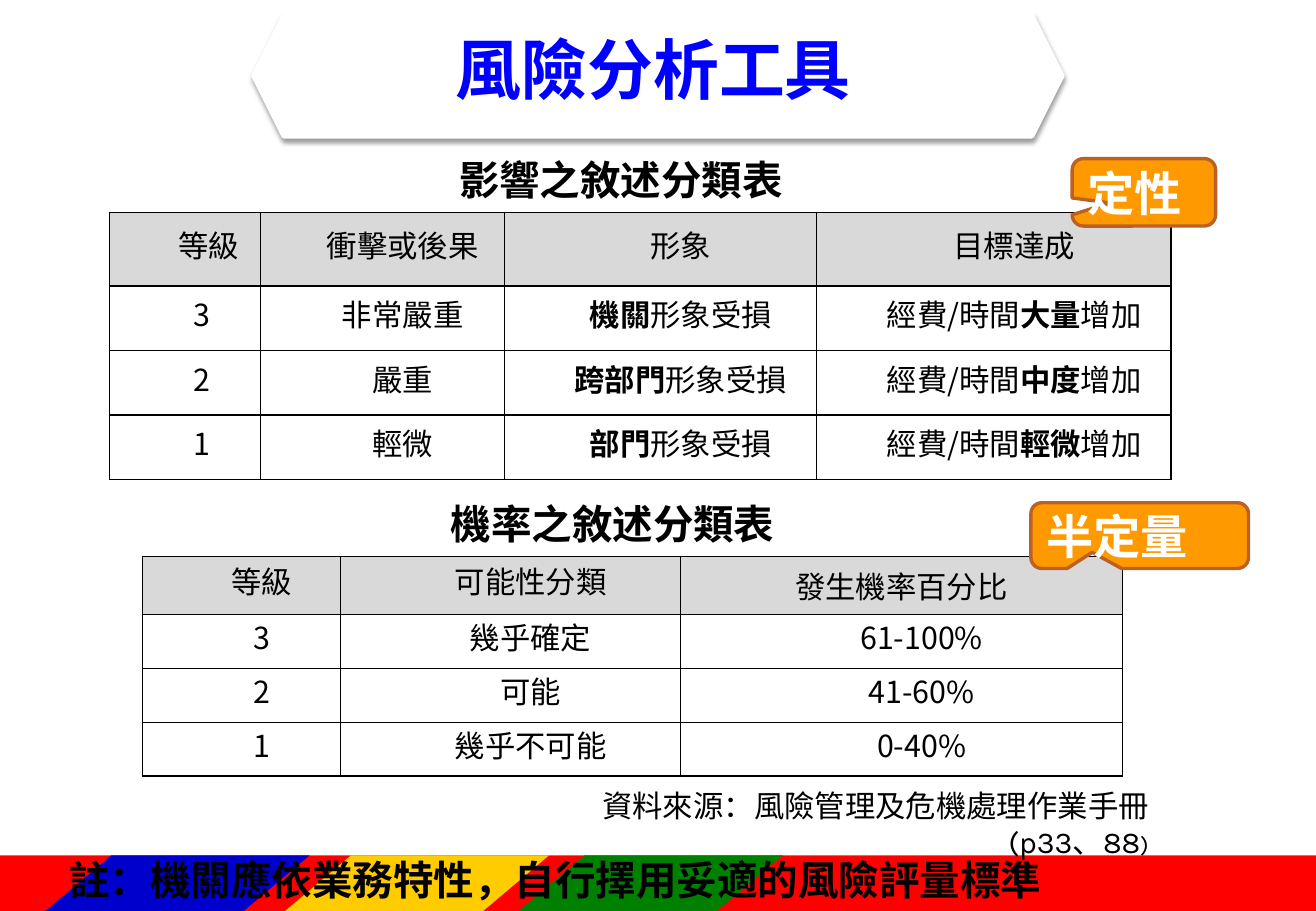
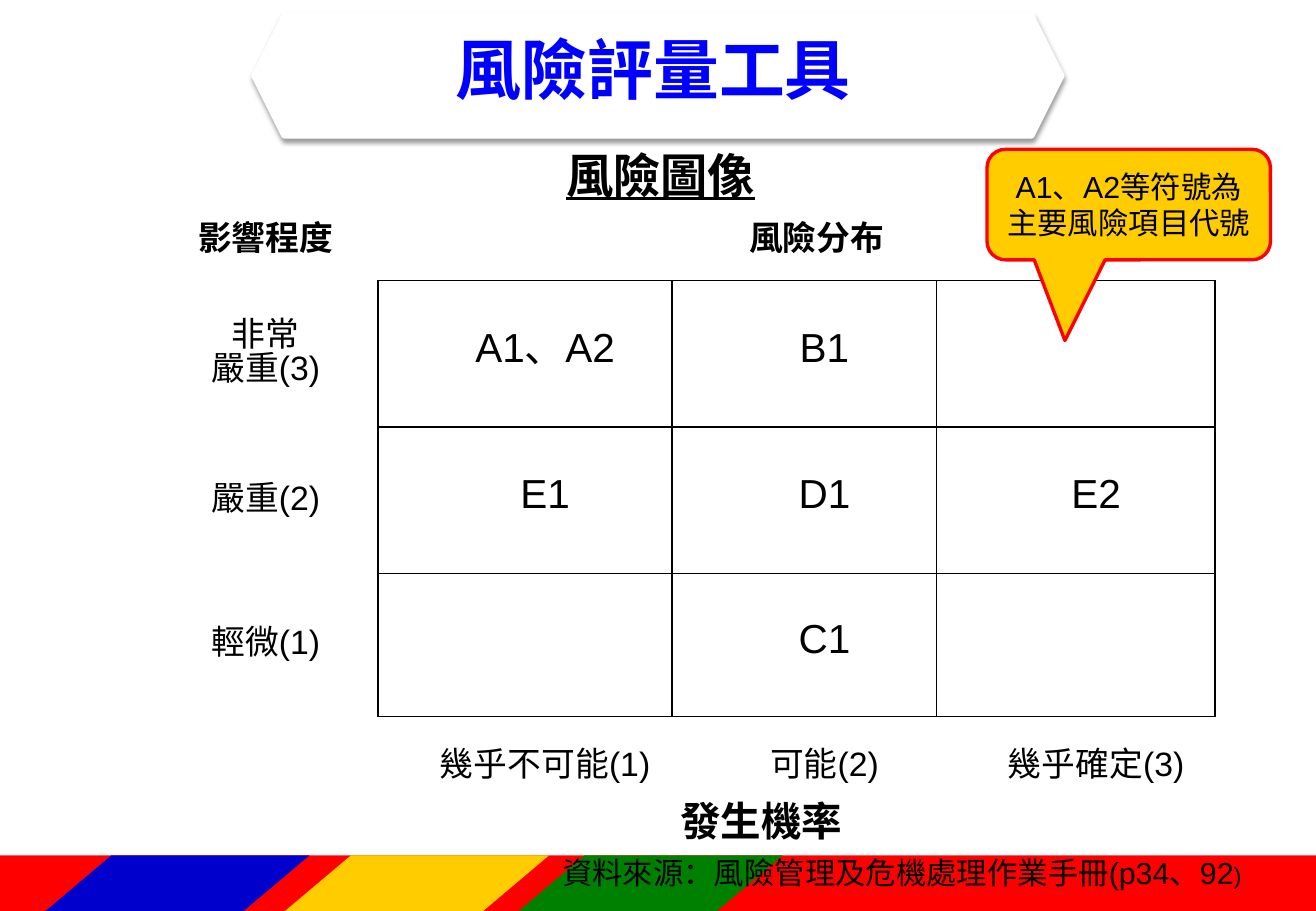
from lxml import etree
from pptx import Presentation
from pptx import util as u
from pptx.dml import color as dml
from pptx.enum import shapes, text
from pptx.oxml import ns

COLORS = {
    "red": "FF0000", "blue": "0000CC", "yellow": "FFCC00", "green": "008000",
    "title": "0000FF", "black": "000000", "white": "FFFFFF",
    "header": "D9D9D9", "orange": "FF9900", "brown": "BB6126",
}
CJK = "Noto Sans CJK SC"
NO_STYLE = "{2D5ABB26-0587-4C30-8999-92F81FD0307C}"
ALIGN = text.PP_ALIGN
MIDDLE = text.MSO_ANCHOR.MIDDLE
BOLD = {"bold": True}
rgb = {name: dml.RGBColor.from_string(value) for name, value in COLORS.items()}


def write(frame, paragraphs, align=ALIGN.LEFT, indent=0, line=None, **style):
    for number, runs in enumerate(paragraphs):
        paragraph = frame.add_paragraph() if number else frame.paragraphs[0]
        paragraph.alignment = align
        if line:
            paragraph.line_spacing = line
        if indent:
            properties = paragraph._p.get_or_add_pPr()
            properties.set("marL", str(u.Pt(indent)))
            properties.set("indent", "0")
        for item in [runs] if isinstance(runs, str) else runs:
            content, changes = (item, {}) if isinstance(item, str) else item
            look = {"color": "black", "bold": False, "underline": False, **style, **changes}
            run = paragraph.add_run()
            run.text = content
            run.font.size = u.Pt(look["size"])
            run.font.bold = look["bold"]
            run.font.underline = look["underline"]
            run.font.color.rgb = rgb[look["color"]]
            run.font.name = look["font"]
            east_asian = etree.SubElement(run.font._element, ns.qn("a:ea"))
            east_asian.set("typeface", look["font"])


def add_grid(slide, left, top, widths, heights, bordered, fills):
    graphic = slide.shapes.add_table(
        len(heights), len(widths), u.Pt(left), u.Pt(top),
        u.Pt(sum(widths)), u.Pt(sum(heights)))
    table = graphic.table
    table.first_row = table.horz_banding = False
    table._tbl.tblPr.find(ns.qn("a:tableStyleId")).text = NO_STYLE
    for column, width in zip(table.columns, widths):
        column.width = u.Pt(width)
    for row, height in zip(table.rows, heights):
        row.height = u.Pt(height)
    for r in range(len(heights)):
        for c in range(len(widths)):
            cell = table.cell(r, c)
            cell.margin_left = cell.margin_right = u.Pt(6.5)
            cell.margin_top = cell.margin_bottom = 0
            cell.vertical_anchor = MIDDLE
            neighbours = {"L": (r, c - 1), "R": (r, c + 1), "T": (r - 1, c), "B": (r + 1, c)}
            for side, neighbour in neighbours.items():
                if bordered & {(r, c), neighbour}:
                    edge = etree.SubElement(cell._tc.tcPr, ns.qn("a:ln" + side), w=str(u.Pt(1)))
                    solid = etree.SubElement(edge, ns.qn("a:solidFill"))
                    etree.SubElement(solid, ns.qn("a:srgbClr"), val=COLORS["black"])
            if (r, c) in fills:
                cell.fill.solid()
                cell.fill.fore_color.rgb = rgb[fills[r, c]]
            else:
                cell.fill.background()
    return table


presentation = Presentation()
presentation.slide_width = u.Pt(780)
presentation.slide_height = u.Pt(540)

slides = []
for title, font in [("風險分析工具", CJK), ("風險評量工具", "Arial")]:
    slide = presentation.slides.add_slide(presentation.slide_layouts[5])
    shape = slide.shapes.title
    shape.left, shape.top, shape.width, shape.height = map(u.Pt, (245.5, 16, 283.5, 54.5))
    frame = shape.text_frame
    frame.auto_size = text.MSO_AUTO_SIZE.NONE
    frame.word_wrap = True
    frame.vertical_anchor = MIDDLE
    frame.margin_left = frame.margin_right = u.Pt(11.5)
    frame.margin_top = frame.margin_bottom = u.Pt(11.5)
    write(frame, [title], align=ALIGN.CENTER, line=0.9, size=39, font=font, color="title", bold=True)
    slides.append(slide)
analysis, evaluation = slides

KINDS = shapes.MSO_SHAPE
master_tree = presentation.slide_master.shapes.element
master_shapes = [
    (KINDS.RECTANGLE, -1.5, 507, 781.5, 33, "red"),
    (KINDS.PARALLELOGRAM, 169, 507, 156.5, 33, "yellow"),
    (KINDS.PARALLELOGRAM, 307.5, 507, 156.5, 33, "green"),
    (KINDS.PARALLELOGRAM, 27, 507, 156.5, 33, "blue"),
    (KINDS.HEXAGON, 150.5, 9.25, 479, 71.5, "white"),
]
for number, (kind, left, top, width, height, fill) in enumerate(master_shapes):
    shape = analysis.shapes.add_shape(kind, *map(u.Pt, (left, top, width, height)))
    shape.shadow.inherit = False
    shape.fill.solid()
    shape.fill.fore_color.rgb = rgb[fill]
    shape.line.fill.background()
    if kind == KINDS.PARALLELOGRAM:
        shape.adjustments[0] = 1.184
    if kind == KINDS.HEXAGON:
        shape.line.color.rgb = rgb["white"]
        shape.line.width = u.Pt(3)
        effects = shape.element.spPr.find(ns.qn("a:effectLst"))
        shadow = etree.SubElement(
            effects, ns.qn("a:outerShdw"), blurRad=str(u.Pt(3.1)),
            dist=str(u.Pt(1.6)), dir="5400000", rotWithShape="0")
        tint = etree.SubElement(shadow, ns.qn("a:srgbClr"), val=COLORS["black"])
        etree.SubElement(tint, ns.qn("a:alpha"), val="38000")
    shape.element.nvSpPr.cNvPr.set("id", str(100 + number))
    master_tree.append(shape.element)

impact_rows = [[" 等級", "衝擊或後果", "形象", "目標達成"]]
for level, impact, scope, amount in [
    ("3 ", "非常嚴重", "機關", "大量"),
    ("2 ", "嚴重", "跨部門", "中度"),
    ("1 ", "輕微", "部門", "輕微"),
]:
    impact_rows.append([
        level, impact, [(scope, BOLD), "形象受損"], ["經費/時間", (amount, BOLD), "增加"]])
chance_rows = [
    ["等級", "可能性分類", "發生機率百分比"],
    ["3", "幾乎確定", "61-100%"],
    ["2", "可能", "41-60%"],
    ["1", "幾乎不可能", "0-40%"],
]
cell_format = {"align": ALIGN.CENTER, "indent": 24, "line": u.Pt(20)}
for rows, left, top, widths, heights in [
    (impact_rows, 65, 126, [89.3, 144.7, 185, 210.2], [43.5] + [38.3] * 3),
    (chance_rows, 84.3, 329.8, [117.4, 201.6, 262], [34.6] + [31.9] * 3),
]:
    cells = {(r, c) for r in range(len(heights)) for c in range(len(widths))}
    fills = {(0, c): "header" for c in range(len(widths))}
    table = add_grid(analysis, left, top, widths, heights, cells, fills)
    for r, row in enumerate(rows):
        for c, content in enumerate(row):
            plain = content == "發生機率百分比"
            layout = {"align": ALIGN.CENTER} if plain else cell_format
            write(table.cell(r, c).text_frame, [content], size=18, font=CJK, **layout)

matrix_cells = {(r, c) for r in range(1, 4) for c in range(1, 4)}
matrix_fills = {(r, c): "white" for r, c in matrix_cells if c < 3}
matrix = add_grid(
    evaluation, 67, 122.4, [157, 174.2, 157, 165], [44, 86.8, 86.6, 84.8, 86.4],
    matrix_cells, matrix_fills)
matrix.cell(0, 1).merge(matrix.cell(0, 3))
matrix_rows = [
    [["影響程度"], ["風險分布"]],
    [["非常", "嚴重(3)"], ["A1、A2"], ["B1"]],
    [["嚴重(2)"], ["E1"], ["D1"], ["E2"]],
    [["輕微(1)"], [], ["C1"]],
    [[], ["幾乎不可能(1)"], ["可能(2)"], ["幾乎確定(3)"]],
]
for r, row in enumerate(matrix_rows):
    for c, paragraphs in enumerate(row):
        cell = matrix.cell(r, c)
        if r == 4:
            cell.vertical_anchor = text.MSO_ANCHOR.TOP
            cell.margin_top = u.Pt(20)
        write(
            cell.text_frame, paragraphs, bold=r == 0, font="Arial" if r else CJK,
            size=24 if (r, c) in matrix_cells else 20, **cell_format)

heading = {"size": 24, "font": CJK, "bold": True}
analysis_source = [
    "資料來源：風險管理及危機處理作業手冊", ("(p33", {"font": "Karla"}), "、",
    ("88", {"font": "Karla"}), (")", {"font": "Karla", "size": 14})]
evaluation_source = ["資料來源：風險管理及危機處理作業手冊(p34、92", (")", {"size": 14})]
for slide, content, left, top, width, height, wrap, style in [
    (analysis, "影響之敘述分類表", 265, 88.5, 208, 36, False, heading),
    (analysis, "機率之敘述分類表", 260, 292.5, 208, 36, False, heading),
    (analysis, "註：機關應依業務特性，自行擇用妥適的風險評量標準", 34, 503.5, 712, 36.5, True, heading),
    (analysis, analysis_source, 298, 463, 390, 51, True,
     {"align": ALIGN.RIGHT, "size": 18, "font": CJK}),
    (evaluation, "發生機率", 396, 468.5, 137.5, 27.5, True, {**heading, "font": "Arial"}),
    (evaluation, "風險圖像", 328.5, 83, 127.5, 41, False,
     {"size": 28, "font": "Arial", "bold": True, "underline": True}),
    (evaluation, evaluation_source, 291.5, 502.5, 451.5, 29, True,
     {"align": ALIGN.RIGHT, "size": 18, "font": "Arial"}),
]:
    frame = slide.shapes.add_textbox(*map(u.Pt, (left, top, width, height))).text_frame
    frame.word_wrap = wrap
    write(frame, [content], **style)

label = {"size": 28, "font": CJK, "color": "white", "bold": True}
for slide, content, box, tip, fill, line, style in [
    (analysis, "定性", (635.5, 94, 85, 40), (-0.24, 0.157), "orange", "brown", label),
    (analysis, "半定量", (611, 298, 129, 39), (-0.218, 0.255), "orange", "brown", label),
    (evaluation, "A1、A2等符號為主要風險項目代號", (585, 88.5, 168, 65.5), (-0.225, 1.23),
     "yellow", "red", {"size": 18, "font": "Arial", "align": ALIGN.CENTER}),
]:
    callout = slide.shapes.add_shape(KINDS.ROUNDED_RECTANGULAR_CALLOUT, *map(u.Pt, box))
    callout.shadow.inherit = False
    callout.adjustments[0], callout.adjustments[1] = tip
    callout.fill.solid()
    callout.fill.fore_color.rgb = rgb[fill]
    callout.line.color.rgb = rgb[line]
    callout.line.width = u.Pt(2)
    callout.text_frame.word_wrap = True
    callout.text_frame.vertical_anchor = MIDDLE
    write(callout.text_frame, [content], **style)

presentation.save("out.pptx")
